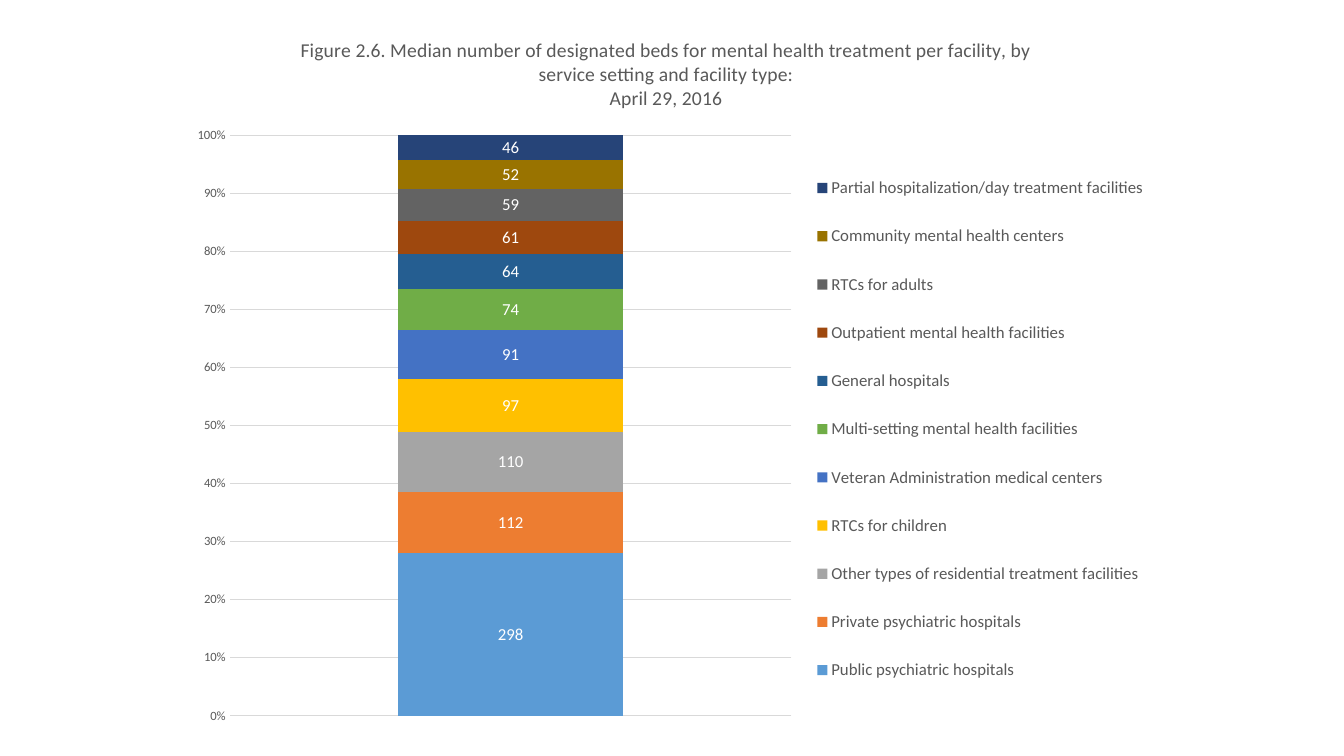
from dataclasses import dataclass

from lxml import etree
from pptx import Presentation
from pptx.chart.data import CategoryChartData
from pptx.dml.color import RGBColor
from pptx.enum.chart import (XL_CHART_TYPE, XL_LABEL_POSITION,
                             XL_LEGEND_POSITION, XL_TICK_MARK)
from pptx.oxml.ns import qn
from pptx.util import Cm, Pt

STACKED = XL_CHART_TYPE.COLUMN_STACKED_100
CENTER = XL_LABEL_POSITION.CENTER
RIGHT = XL_LEGEND_POSITION.RIGHT
NO_TICK = XL_TICK_MARK.NONE


@dataclass(frozen=True)
class Theme:
    """Colours, font and type sizes."""
    font: str = "Calibri"
    ink: str = "595959"
    light: str = "FFFFFF"
    grid: str = "D9D9D9"
    title: int = 14
    body: int = 12
    axis: int = 9
    line: float = 0.75


TITLE = [
    "Figure 2.6. Median number of designated beds for mental health "
    "treatment per facility, by service setting and facility type:",
    "April 29, 2016",
]
BEDS = [
    ("Public psychiatric hospitals", 298, "5B9BD5"),
    ("Private psychiatric hospitals", 112, "ED7D31"),
    ("Other types of residential treatment facilities", 110, "A5A5A5"),
    ("RTCs for children", 97, "FFC000"),
    ("Veteran Administration medical centers", 91, "4472C4"),
    ("Multi-setting mental health facilities", 74, "70AD47"),
    ("General hospitals", 64, "255E91"),
    ("Outpatient mental health facilities", 61, "9E480E"),
    ("RTCs for adults", 59, "636363"),
    ("Community mental health centers", 52, "997300"),
    ("Partial hospitalization/day treatment facilities", 46, "264478"),
]


def style(font, theme, size, color):
    """Set the face, size and colour of a font."""
    font.name = theme.font
    font.size = Pt(size)
    font.bold = False
    font.color.rgb = RGBColor.from_string(color)


def write(frame, lines, theme, size, color):
    """Write one paragraph per line with the given format."""
    for i, line in enumerate(lines):
        para = frame.add_paragraph() if i else frame.paragraphs[0]
        run = para.add_run()
        run.text = line
        style(run.font, theme, size, color)


def place(part, index, **spots):
    """Give a chart part a fixed layout, in shares of the chart."""
    for old in part.findall(qn("c:layout")):
        part.remove(old)
    layout = etree.Element(qn("c:layout"))
    manual = etree.SubElement(layout, qn("c:manualLayout"))
    if part.tag == qn("c:plotArea"):
        etree.SubElement(manual, qn("c:layoutTarget")).set("val", "inner")
    for mode in ("xMode", "yMode"):
        etree.SubElement(manual, qn("c:" + mode)).set("val", "edge")
    for key, share in spots.items():
        etree.SubElement(manual, qn("c:" + key)).set("val", str(share))
    part.insert(index, layout)


class Page:
    """Holds the theme and the current slide."""

    def __init__(self, slide, theme):
        """Keep the slide and its theme."""
        self.slide, self.theme = slide, theme

    def chart(self, rows, left, top, width, height):
        """Add a stacked column with one coloured series per row."""
        data = CategoryChartData()
        data.categories = ["1"]
        for name, count, _ in rows:
            data.add_series(name, [count])
        chart = self.slide.shapes.add_chart(
            STACKED, Cm(left), Cm(top), Cm(width), Cm(height), data).chart
        style(chart.font, self.theme, self.theme.body, self.theme.ink)
        plot = chart.plots[0]
        plot.gap_width, plot.overlap = 150, 100
        plot.vary_by_categories = False
        for series, (_, _, color) in zip(plot.series, rows):
            series.format.fill.solid()
            series.format.fill.fore_color.rgb = RGBColor.from_string(color)
            labels = series.data_labels
            labels.show_value, labels.position = True, CENTER
            style(labels.font, self.theme, self.theme.body, self.theme.light)
        place(chart.element.find(".//" + qn("c:plotArea")), 0,
              x=0.05, y=0.17, w=0.58, h=0.8)
        return chart

    def axes(self, chart):
        """Hide the category axis and style the percent axis."""
        chart.category_axis.visible = False
        axis = chart.value_axis
        axis.minimum_scale, axis.maximum_scale = 0, 1
        axis.major_unit = 0.1
        axis.major_tick_mark = axis.minor_tick_mark = NO_TICK
        axis.format.line.fill.background()
        axis.tick_labels.number_format = "0%"
        axis.tick_labels.number_format_is_linked = False
        style(axis.tick_labels.font, self.theme, self.theme.axis,
              self.theme.ink)
        grid = axis.major_gridlines.format.line
        grid.color.rgb = RGBColor.from_string(self.theme.grid)
        grid.width = Pt(self.theme.line)

    def title(self, chart, lines):
        """Add the chart title."""
        chart.has_title = True
        write(chart.chart_title.text_frame, lines, self.theme,
              size=self.theme.title, color=self.theme.ink)
        place(chart.element.find(".//" + qn("c:title")), 1, x=0.12, y=0.03)

    def legend(self, chart):
        """Add the legend on the right."""
        chart.has_legend = True
        chart.legend.position = RIGHT
        chart.legend.include_in_layout = False
        style(chart.legend.font, self.theme, self.theme.body, self.theme.ink)
        place(chart.element.find(".//" + qn("c:legend")), 1,
              x=0.65, y=0.19, w=0.35, h=0.77)


def main():
    """Build and save the slide."""
    deck = Presentation()
    deck.slide_width, deck.slide_height = Cm(33.87), Cm(19.05)
    page = Page(deck.slides.add_slide(deck.slide_layouts[6]), Theme())
    chart = page.chart(BEDS, left=4.57, top=0.3, width=24.41, height=18.29)
    page.axes(chart)
    page.title(chart, TITLE)
    page.legend(chart)
    deck.save("out.pptx")


main()
